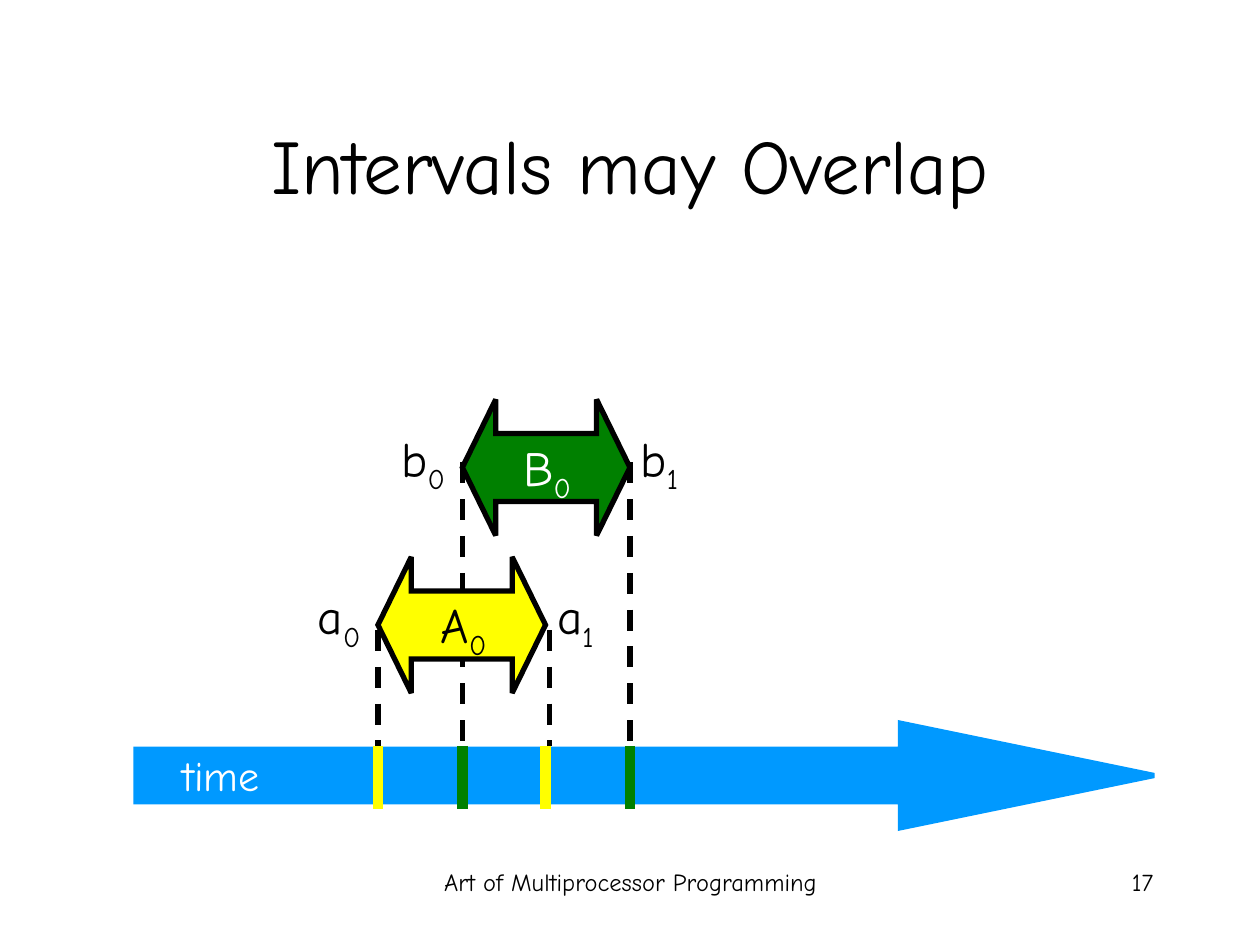
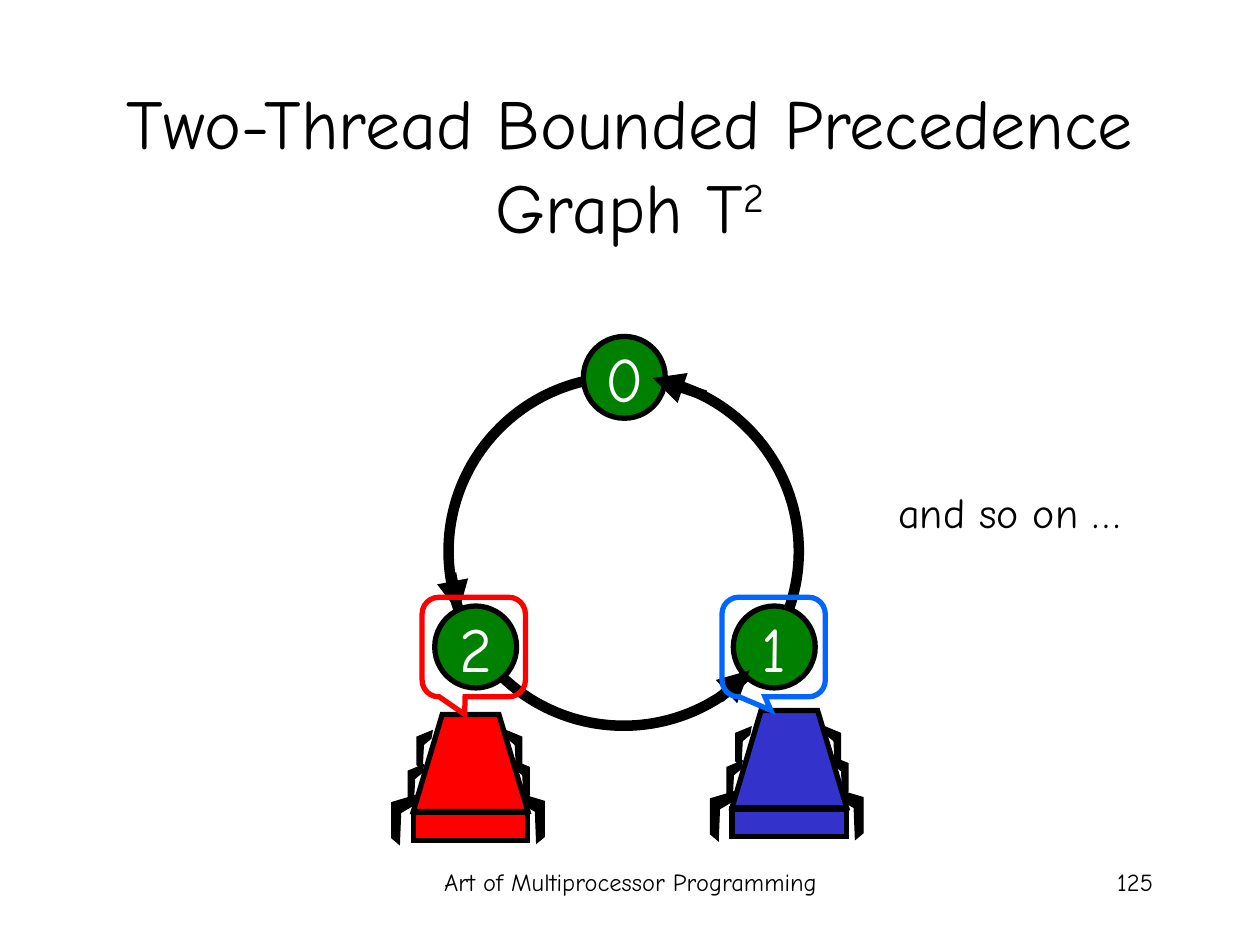
from dataclasses import dataclass

from lxml.etree import SubElement
from pptx import Presentation
from pptx.dml.color import RGBColor as Color
from pptx.enum.dml import MSO_LINE_DASH_STYLE as Dash
from pptx.enum.shapes import MSO_CONNECTOR as Connector, MSO_SHAPE as Shape
from pptx.enum.text import MSO_ANCHOR as Anchor, PP_ALIGN as Align
from pptx.oxml.ns import qn
from pptx.util import Inches, Pt


@dataclass(frozen=True)
class Theme:
    font: str = "Comic Neue"
    black: str = "000000"
    white: str = "FFFFFF"
    green: str = "008000"
    yellow: str = "FFFF00"
    time_blue: str = "0099FF"
    red: str = "FF0000"
    thread_blue: str = "3333CC"
    callout_blue: str = "0066FF"
    title_size: int = 44
    long_title_size: int = 40
    node_size: int = 36
    label_size: int = 28
    note_size: int = 24
    footer_size: int = 14
    hairline: float = 0.75
    outline: int = 3
    heavy: int = 6


THEME = Theme()
FOOTER = "Art of Multiprocessor Programming"

INTERVAL_WIDTH, INTERVAL_HEIGHT = 1.33, 1.08
LABEL_WIDTH, LABEL_HEIGHT = 0.8, 0.63
TICK_TOP, TICK_BOTTOM = 5.92, 6.42
NODE_SIZE = 0.65

THREAD_WIDTH = 0.91
BODY = [(0, 0.77), (0.23, 0), (0.68, 0), (THREAD_WIDTH, 0.77)]
LONG_LEG = [(0, 0), (0.2, 0.06), (0.2, 0.34), (0.14, 0.39), (0.13, 0.14), (0.01, 0.07)]
SHORT_LEG = [(0, 0), (0.12, 0.05), (0.12, 0.27), (0.08, 0.31), (0.07, 0.11), (0.01, 0.06)]
LEGS = [
    (LONG_LEG, 0.84, 0.63, 1),
    (SHORT_LEG, 0.8, 0.37, 1),
    (SHORT_LEG, 0.74, 0.13, 1),
    (LONG_LEG, 0.03, 0.64, -1),
    (SHORT_LEG, 0.08, 0.4, -1),
    (SHORT_LEG, 0.15, 0.13, -1),
]


def write(frame, text, size, color=THEME.black, align=Align.RIGHT,
          anchor=Anchor.TOP, wrap=False, script="", baseline=-25):
    frame.word_wrap = wrap
    frame.vertical_anchor = anchor
    para = frame.paragraphs[0]
    para.alignment = align
    for content, shift in ((text, 0), (script, baseline)):
        if not content:
            continue
        span = para.add_run()
        span.text = content
        span.font.name = THEME.font
        span.font.size = Pt(size)
        span.font.color.rgb = Color.from_string(color)
        if shift:
            span._r.get_or_add_rPr().set("baseline", str(shift * 1000))


class SlideBuilder:
    """Draws styled elements on the current slide of a deck."""

    def __init__(self, deck, theme):
        self.deck = deck
        self.theme = theme
        self.page = None

    def start(self, title, number, size, **title_format):
        self.page = self.deck.slides.add_slide(self.deck.slide_layouts[6])
        small = self.theme.footer_size
        self.text(3.42, 6.83, 3.17, 0.5, FOOTER, size=small, align=Align.CENTER, wrap=True)
        self.text(7.17, 6.83, 2.08, 0.5, str(number), size=small, wrap=True)
        self.text(0.75, 0.67, 8.5, 1.25, title, size=size, align=Align.CENTER,
                  anchor=Anchor.MIDDLE, wrap=True, **title_format)

    def text(self, left, top, width, height, text, **text_format):
        box = self.page.shapes.add_textbox(
            Inches(left), Inches(top), Inches(width), Inches(height))
        write(box.text_frame, text, **text_format)

    def label(self, right, top, text, **text_format):
        self.text(right - LABEL_WIDTH, top, LABEL_WIDTH, LABEL_HEIGHT, text,
                  size=self.theme.label_size, **text_format)

    def paint(self, shape, fill, line, weight):
        shape.shadow.inherit = False
        if fill:
            shape.fill.solid()
            shape.fill.fore_color.rgb = Color.from_string(fill)
        else:
            shape.fill.background()
        shape.line.color.rgb = Color.from_string(line)
        shape.line.width = Pt(weight)
        SubElement(shape.line._get_or_add_ln(), qn("a:miter"), lim="800000")

    def shape(self, kind, left, top, width, height, fill=None, line=THEME.black,
              weight=THEME.outline, adjust=()):
        shape = self.page.shapes.add_shape(
            kind, Inches(left), Inches(top), Inches(width), Inches(height))
        for index, value in enumerate(adjust):
            shape.adjustments[index] = value
        self.paint(shape, fill, line, weight)
        return shape

    def outline(self, points, fill, weight):
        corners = [(Inches(x), Inches(y)) for x, y in points]
        builder = self.page.shapes.build_freeform(*corners[0])
        builder.add_line_segments(corners[1:], close=True)
        self.paint(builder.convert_to_shape(), fill, self.theme.black, weight)

    def line(self, start, end, color=THEME.black, weight=THEME.outline,
             dashed=False, arrow=False):
        line = self.page.shapes.add_connector(
            Connector.STRAIGHT, *(Inches(value) for value in (*start, *end)))
        line.line.color.rgb = Color.from_string(color)
        line.line.width = Pt(weight)
        if dashed:
            line.line.dash_style = Dash.DASH
        if arrow:
            SubElement(line.line._get_or_add_ln(), qn("a:tailEnd"), type="triangle")
        SubElement(line._element.spPr, qn("a:effectLst"))

    def interval(self, name, left, top, fill, name_color):
        right = left + INTERVAL_WIDTH
        self.shape(Shape.LEFT_RIGHT_ARROW, left, top, INTERVAL_WIDTH, INTERVAL_HEIGHT,
                   fill, adjust=(0.5, 0.245))
        self.label(left + 0.96, top + 0.25, name, color=name_color, script="0")
        self.label(left - 0.04, top + 0.18, name.lower(), script="0")
        self.label(right + 0.48, top + 0.18, name.lower(), script="1")
        for x in (left, right):
            self.line((x, TICK_TOP), (x, TICK_BOTTOM), fill, self.theme.heavy)

    def node(self, label, left, top):
        circle = self.shape(Shape.OVAL, left, top, NODE_SIZE, NODE_SIZE, self.theme.green)
        write(circle.text_frame, label, size=self.theme.node_size, color=self.theme.white,
              align=Align.CENTER, anchor=Anchor.MIDDLE)

    def thread(self, left, top, fill, callout_left, callout_color, pointer):
        for leg, x, y, side in LEGS:
            points = [(left + x + side * dx, top + y + dy) for dx, dy in leg]
            self.outline(points, self.theme.black, self.theme.hairline)
        self.outline([(left + x, top + y) for x, y in BODY], fill, self.theme.outline)
        self.shape(Shape.RECTANGLE, left, top + 0.78, THREAD_WIDTH, 0.22, fill)
        self.shape(Shape.ROUNDED_RECTANGULAR_CALLOUT, callout_left, 4.74, 0.82, 0.79,
                   line=callout_color, adjust=(*pointer, 0.167))


def build_intervals(slide):
    theme = slide.theme
    slide.start("Intervals may Overlap", 17, theme.title_size)
    slide.shape(Shape.RIGHT_ARROW, 1.08, 5.74, 8.08, 0.83, theme.time_blue,
                theme.time_blue, adjust=(0.5, 2.426))
    slide.text(1.16, 5.9, 1, 0.5, "time", size=theme.note_size, color=theme.white)
    for x, top, bottom in ((3, 5, TICK_TOP), (4.36, 5, TICK_TOP),
                           (3.67, 3.67, TICK_BOTTOM), (5, 3.67, TICK_BOTTOM)):
        slide.line((x, top), (x, bottom), dashed=True)
    slide.interval("A", 3, 4.42, theme.yellow, theme.black)
    slide.interval("B", 3.67, 3.17, theme.green, theme.white)


def build_precedence_graph(slide):
    theme = slide.theme
    slide.start("Two-Thread Bounded Precedence Graph T", 125, theme.long_title_size,
                script="2", baseline=30)
    slide.shape(Shape.OVAL, 3.56, 2.99, 2.78, 2.77, weight=theme.heavy)
    for label, left, top in (("0", 4.63, 2.67), ("1", 5.82, 4.81), ("2", 3.45, 4.81)):
        slide.node(label, left, top)
    slide.text(6.79, 3.81, 2.2, 0.5, "and so on …", size=theme.note_size)
    for start, end in (((3.58, 4.55), (3.64, 4.86)),
                       ((5.71, 5.54), (5.95, 5.32)),
                       ((5.6, 3.14), (5.18, 3))):
        slide.line(start, end, weight=theme.heavy, arrow=True)
    slide.thread(5.81, 5.64, theme.thread_blue, 5.73, theme.callout_blue, (-0.027, 0.635))
    slide.thread(3.28, 5.67, theme.red, 3.35, theme.red, (-0.088, 0.677))


def main():
    deck = Presentation()
    deck.slide_width, deck.slide_height = Inches(10), Inches(7.5)
    slide = SlideBuilder(deck, THEME)
    build_intervals(slide)
    build_precedence_graph(slide)
    deck.save("out.pptx")


if __name__ == "__main__":
    main()
